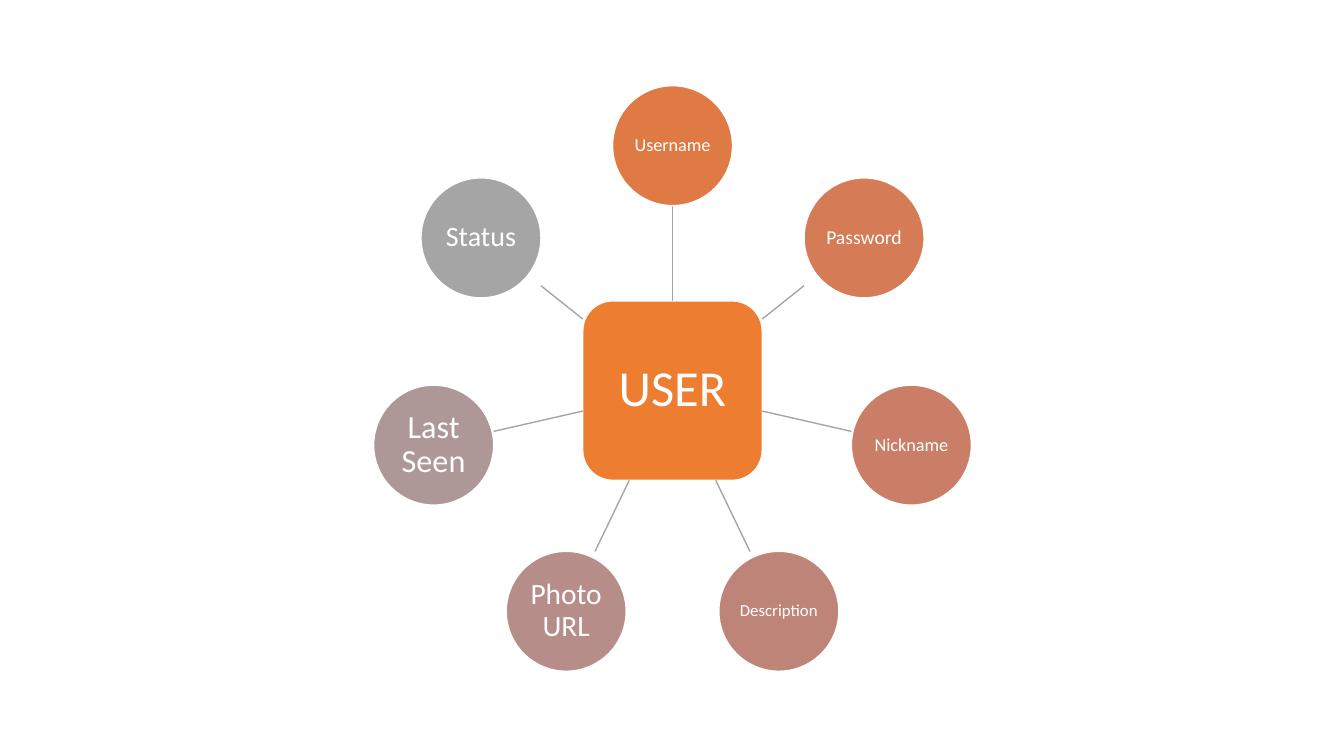
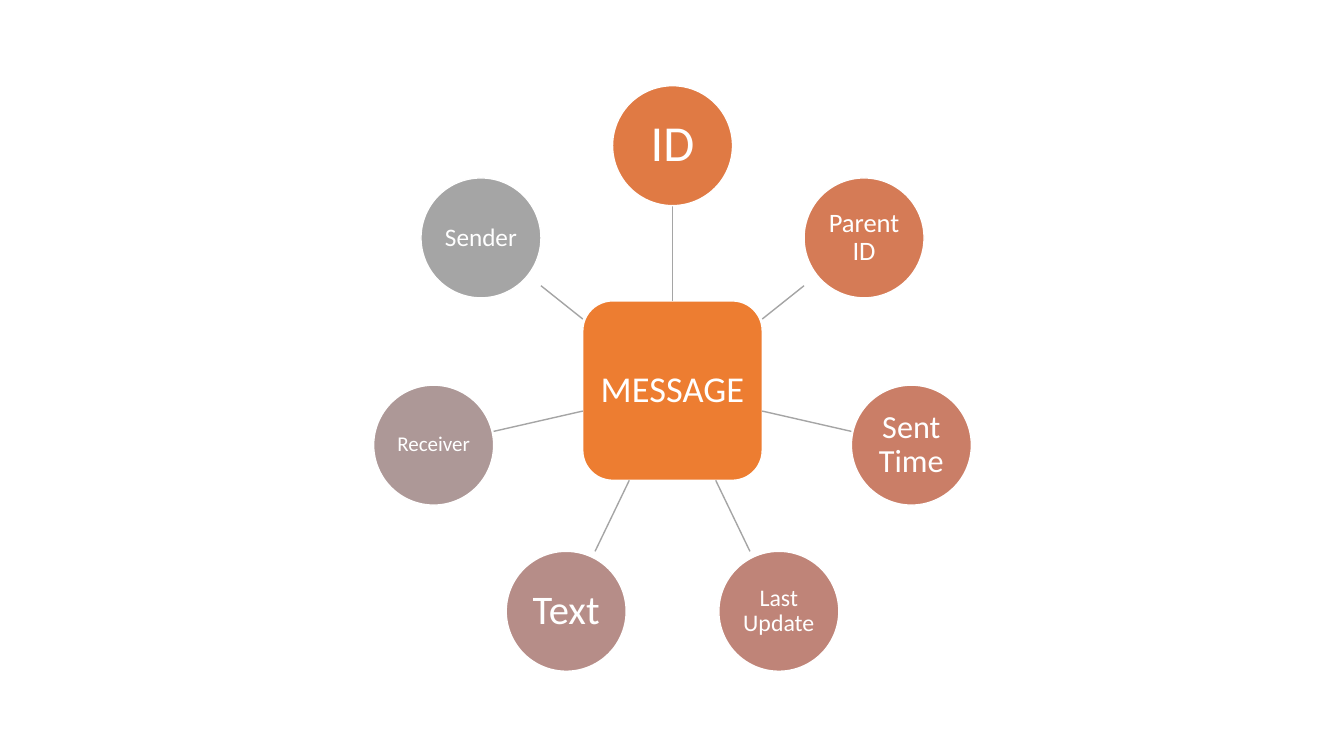
from math import cos, pi, sin

from lxml import etree
from pptx import Presentation
from pptx.dml.color import RGBColor
from pptx.enum.shapes import MSO_CONNECTOR, MSO_SHAPE
from pptx.enum.text import MSO_ANCHOR, PP_ALIGN
from pptx.oxml.ns import qn
from pptx.util import Inches, Pt

ROUND, OVAL = MSO_SHAPE.ROUNDED_RECTANGLE, MSO_SHAPE.OVAL
LINE = MSO_CONNECTOR.STRAIGHT
MIDDLE, CENTER = MSO_ANCHOR.MIDDLE, PP_ALIGN.CENTER

COLORS = {"hub": "ED7D31", "spoke": "A5A5A5", "white": "FFFFFF"}
RING = ["E07A44", "D57B56", "CA7E67", "BF8478", "B68D88", "AD9897", "A5A5A5"]
FONT = "Calibri"
INSET = 0.17  # text margin as a share of the font size
WIDTH, HEIGHT = 13.33, 7.5
BOX = (3.7, 0.85, 5.94, 5.8)  # left, top, width, height of a diagram
HUB, NODE, REACH = 1.78, 1.19, 2.43  # sizes, and hub centre to node centre

SLIDES = [
    (("USER", 36), [
        ("Username", 13), ("Password", 14), ("Nickname", 13),
        ("Description", 12), ("Photo URL", 21), ("Last Seen", 23),
        ("Status", 20)]),
    (("MESSAGE", 26), [
        ("ID", 36), ("Parent ID", 19), ("Sent Time", 23),
        ("Last Update", 17), ("Text", 29), ("Receiver", 15),
        ("Sender", 18)]),
]


def style(item, values):
    """Set each named attribute on the item."""
    for name, value in values.items():
        setattr(item, name, value)


def add_node(slide, kind, x, y, side, fill, label):
    """Draw a labelled shape centred on (x, y)."""
    text, size = label
    shape = slide.shapes.add_shape(kind, Inches(x - side / 2), Inches(y - side / 2),
                                   Inches(side), Inches(side))
    shape.shadow.inherit = False
    shape.fill.solid()
    shape.fill.fore_color.rgb = RGBColor.from_string(fill)
    white = RGBColor.from_string(COLORS["white"])
    shape.line.color.rgb = white
    shape.line.width = Pt(1)
    frame = shape.text_frame
    edges = ("left", "top", "right", "bottom")
    style(frame, {"word_wrap": True, "vertical_anchor": MIDDLE,
                  **{f"margin_{edge}": Pt(size * INSET) for edge in edges}})
    para = frame.paragraphs[0]
    style(para, {"text": text, "alignment": CENTER, "line_spacing": 0.9})
    font = para.runs[0].font
    style(font, {"name": FONT, "size": Pt(size)})
    font.color.rgb = white


def add_spoke(slide, x, y, dx, dy):
    """Join the hub at (x, y) to the node in direction (dx, dy)."""
    span = max(abs(dx), abs(dy))
    start, end = HUB / 2 / span, REACH - NODE / 2 / span
    ends = [Inches(v) for v in (x + start * dx, y + start * dy,
                                x + end * dx, y + end * dy)]
    spoke = slide.shapes.add_connector(LINE, *ends)
    spoke.line.color.rgb = RGBColor.from_string(COLORS["spoke"])
    spoke.line.width = Pt(1)
    etree.SubElement(spoke._element.spPr, qn("a:effectLst"))


def add_wheel(slide, box, hub, nodes):
    """Place a hub and an even ring of nodes in the box."""
    left, top, width, _ = box
    x, y = left + width / 2, top + NODE / 2 + REACH
    add_node(slide, ROUND, x, y, HUB, COLORS["hub"], hub)
    for i, (label, fill) in enumerate(zip(nodes, RING)):
        turn = 2 * pi * i / len(nodes)
        dx, dy = sin(turn), -cos(turn)
        add_spoke(slide, x, y, dx, dy)
        add_node(slide, OVAL, x + REACH * dx, y + REACH * dy, NODE, fill, label)


def main():
    """Build and save the deck."""
    deck = Presentation()
    style(deck, {"slide_width": Inches(WIDTH), "slide_height": Inches(HEIGHT)})
    blank = deck.slide_layouts[6]
    for hub, nodes in SLIDES:
        add_wheel(deck.slides.add_slide(blank), BOX, hub, nodes)
    deck.save("out.pptx")


main()
